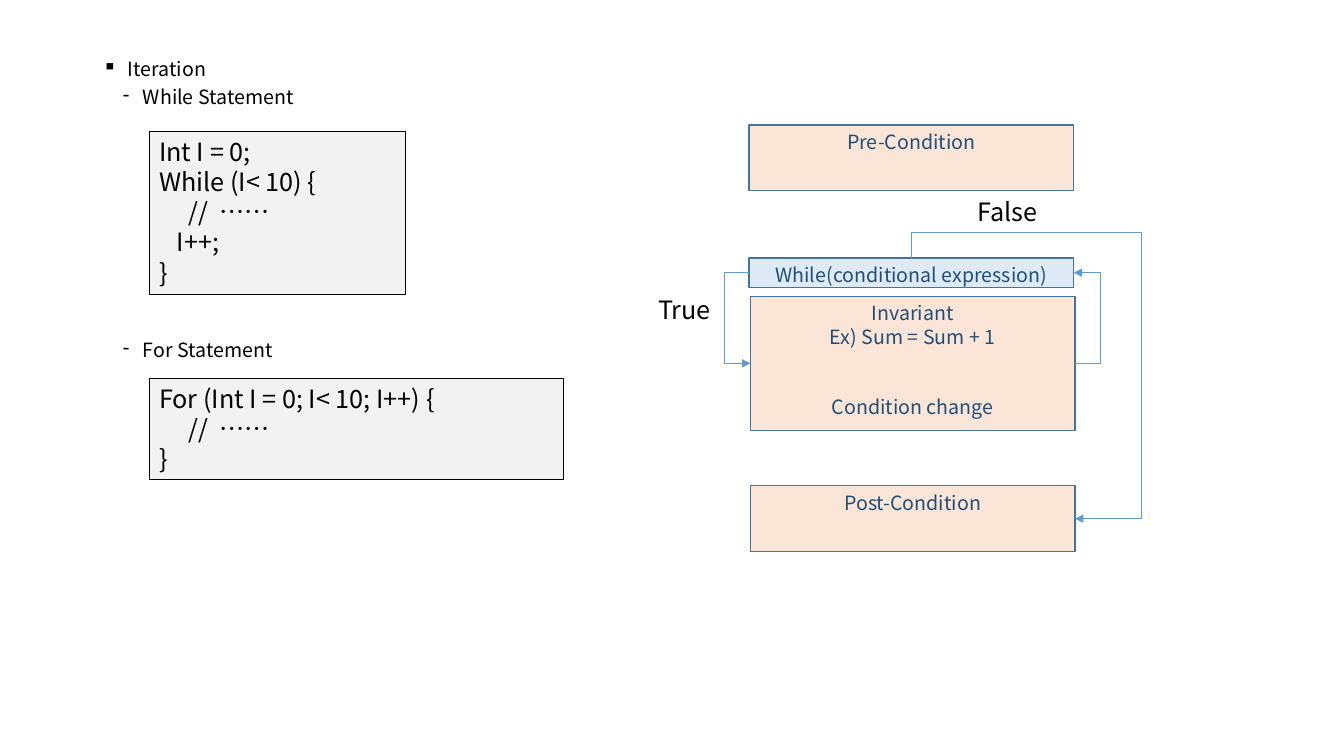
import pptx
import pptx.dml.color
import pptx.enum.shapes
import pptx.enum.text
import pptx.oxml.ns
import pptx.util
from lxml import etree

Pt = pptx.util.Pt
ALIGN = pptx.enum.text.PP_ALIGN
SHAPE = pptx.enum.shapes.MSO_SHAPE

THEME = {
    "font": "Noto Sans CJK KR",
    "body": 14, "code": 18,
    "ink": "000000", "navy": "1F4E79", "edge": "43739E", "arrow": "5B9BD5",
    "gray": "F2F2F2", "blue": "DEEBF7", "peach": "FBE5D6",
}

# Each outline line: text and paragraph format
TITLE = {"bullet": "\u25aa", "margin": 18, "hang": 18, "leading": 0.9}
ITEM = {"bullet": "\u2010", "margin": 28.8, "hang": 14.4, "leading": 0.9, "before": 5}
OUTLINES = [
    (38.9, [("Iteration", TITLE), ("While Statement", ITEM)]),
    (239.8, [("For Statement", {**ITEM, "before": 0})]),
]

# Each code box: top, width, height, lines
COMMENT = ("//  \u2026\u2026", {"margin": 21})
CODE_LEFT = 106.6
CODE_BOXES = [
    (93.6, 182.9, 116.6, [("Int I = 0;", {}), ("While (I< 10) {", {}), COMMENT,
                          ("I++;", {"margin": 12.6}), ("}", {})]),
    (270, 296, 72.7, [("For (Int I = 0; I< 10; I++) {", {}), COMMENT, ("}", {})]),
]

# Each flow box: left, top, height, fill, lines
FLOW_WIDTH = 232
FLOW = {
    "pre": (535, 89.3, 47, "peach", [("Pre-Condition", {})]),
    "while": (535, 184.3, 21, "blue", [("While(conditional expression)", {})]),
    "loop": (536, 211.7, 95.8, "peach", [
        ("Invariant", {}), ("Ex) Sum = Sum + 1", {}),
        ("Condition change", {"before": 33.6})]),
    "post": (536, 347, 47, "peach", [("Post-Condition", {})]),
}
LABELS = [("True", 463, 206.6), ("False", 691, 136.8)]

TOP, LEFT, RIGHT = 0, 1, 3  # connection sites of a rectangle
LOOP_REACH = 18             # how far arrows swing out of the boxes
EXIT_REACH = 47.5


def color(name):
    """Return a theme colour."""
    return pptx.dml.color.RGBColor.from_string(THEME[name])


def write(box, lines, size="body", ink="ink", align=ALIGN.LEFT, wrap=True):
    """Fill a box with (text, paragraph format) lines."""
    frame = box.text_frame
    frame.word_wrap = wrap
    frame.vertical_anchor = pptx.enum.text.MSO_ANCHOR.TOP
    for index, (text, style) in enumerate(lines):
        para = frame.add_paragraph() if index else frame.paragraphs[0]
        para.alignment = align
        para.line_spacing = style.get("leading", 1.0)
        para.space_before = Pt(style.get("before", 0))
        props = para._p.get_or_add_pPr()
        props.set("marL", str(Pt(style.get("margin", 0))))
        props.set("indent", str(-Pt(style.get("hang", 0))))
        if "bullet" in style:
            mark = etree.SubElement(props, pptx.oxml.ns.qn("a:buChar"))
            mark.set("char", style["bullet"])
        span = para.add_run()
        span.text = text
        span.font.size = Pt(THEME[size])
        span.font.name = THEME["font"]
        span.font.color.rgb = color(ink)
        east = etree.SubElement(span._r.get_or_add_rPr(), pptx.oxml.ns.qn("a:ea"))
        east.set("typeface", THEME["font"])


def add_text(page, left, top, width, height, lines, **style):
    """Add a text box."""
    box = page.shapes.add_textbox(Pt(left), Pt(top), Pt(width), Pt(height))
    write(box, lines, **style)


def add_box(page, left, top, width, height, lines, fill, edge, weight, **style):
    """Add a filled and outlined rectangle with text."""
    box = page.shapes.add_shape(SHAPE.RECTANGLE, Pt(left), Pt(top), Pt(width), Pt(height))
    box.shadow.inherit = False
    box.fill.solid()
    box.fill.fore_color.rgb = color(fill)
    box.line.color.rgb = color(edge)
    box.line.width = Pt(weight)
    write(box, lines, **style)
    return box


def site(box, side):
    """Return the point at the middle of one side of a box."""
    middle = box.left + box.width // 2
    center = box.top + box.height // 2
    return {TOP: (middle, box.top), LEFT: (box.left, center),
            RIGHT: (box.left + box.width, center)}[side]


def add_arrow(page, source, source_side, target, target_side):
    """Join two boxes with a bent arrow and return it."""
    arrow = page.shapes.add_connector(
        pptx.enum.shapes.MSO_CONNECTOR.ELBOW,
        *site(source, source_side), *site(target, target_side))
    arrow.begin_connect(source, source_side)
    arrow.end_connect(target, target_side)
    arrow.line.color.rgb = color("arrow")
    arrow.line.width = Pt(0.5)
    tail = etree.SubElement(arrow.line._get_or_add_ln(), pptx.oxml.ns.qn("a:tailEnd"))
    tail.set("type", "triangle")
    etree.SubElement(arrow._element.spPr, pptx.oxml.ns.qn("a:effectLst"))
    return arrow


def bend(arrow, preset, *ratios):
    """Set the bent preset and where it turns, as ratios of its size."""
    shape = arrow._element.spPr.find(pptx.oxml.ns.qn("a:prstGeom"))
    shape.set("prst", preset)
    guides = shape.find(pptx.oxml.ns.qn("a:avLst"))
    if guides is None:
        guides = etree.SubElement(shape, pptx.oxml.ns.qn("a:avLst"))
    for number, ratio in enumerate(ratios, 1):
        guide = etree.SubElement(guides, pptx.oxml.ns.qn("a:gd"))
        guide.set("name", f"adj{number}")
        guide.set("fmla", f"val {round(ratio * 100000)}")


def quarter_turn(arrow):
    """Turn an arrow so that it leaves upwards, keeping its two ends."""
    left, top, width, height = arrow.left, arrow.top, arrow.width, arrow.height
    arrow.left = left + (width - height) // 2
    arrow.top = top + (height - width) // 2
    arrow.width, arrow.height = height, width
    frame = arrow._element.spPr.find(pptx.oxml.ns.qn("a:xfrm"))
    frame.set("rot", "16200000")
    frame.set("flipH", "1")


def build():
    """Build the slide and save it."""
    deck = pptx.Presentation()
    deck.slide_width, deck.slide_height = Pt(960), Pt(540)
    page = deck.slides.add_slide(deck.slide_layouts[6])

    for top, lines in OUTLINES:
        add_text(page, 66.2, top, 386, 24 * len(lines), lines)
    for top, width, height, lines in CODE_BOXES:
        add_box(page, CODE_LEFT, top, width, height, lines,
                "gray", "ink", 0.5, size="code")
    boxes = {}
    for name, (left, top, height, fill, lines) in FLOW.items():
        boxes[name] = add_box(page, left, top, FLOW_WIDTH, height, lines,
                              fill, "edge", 1, ink="navy", align=ALIGN.CENTER)

    for start, end, side in [("while", "loop", LEFT), ("loop", "while", RIGHT)]:
        arrow = add_arrow(page, boxes[start], side, boxes[end], side)
        bend(arrow, "bentConnector3", -Pt(LOOP_REACH) / arrow.width)
    leave = add_arrow(page, boxes["while"], TOP, boxes["post"], RIGHT)
    bend(leave, "bentConnector4", -Pt(LOOP_REACH) / leave.height,
         1 + Pt(EXIT_REACH) / leave.width)
    quarter_turn(leave)

    for text, left, top in LABELS:
        add_text(page, left, top, 58.3, 29, [(text, {})], size="code")
    deck.save("out.pptx")


build()
